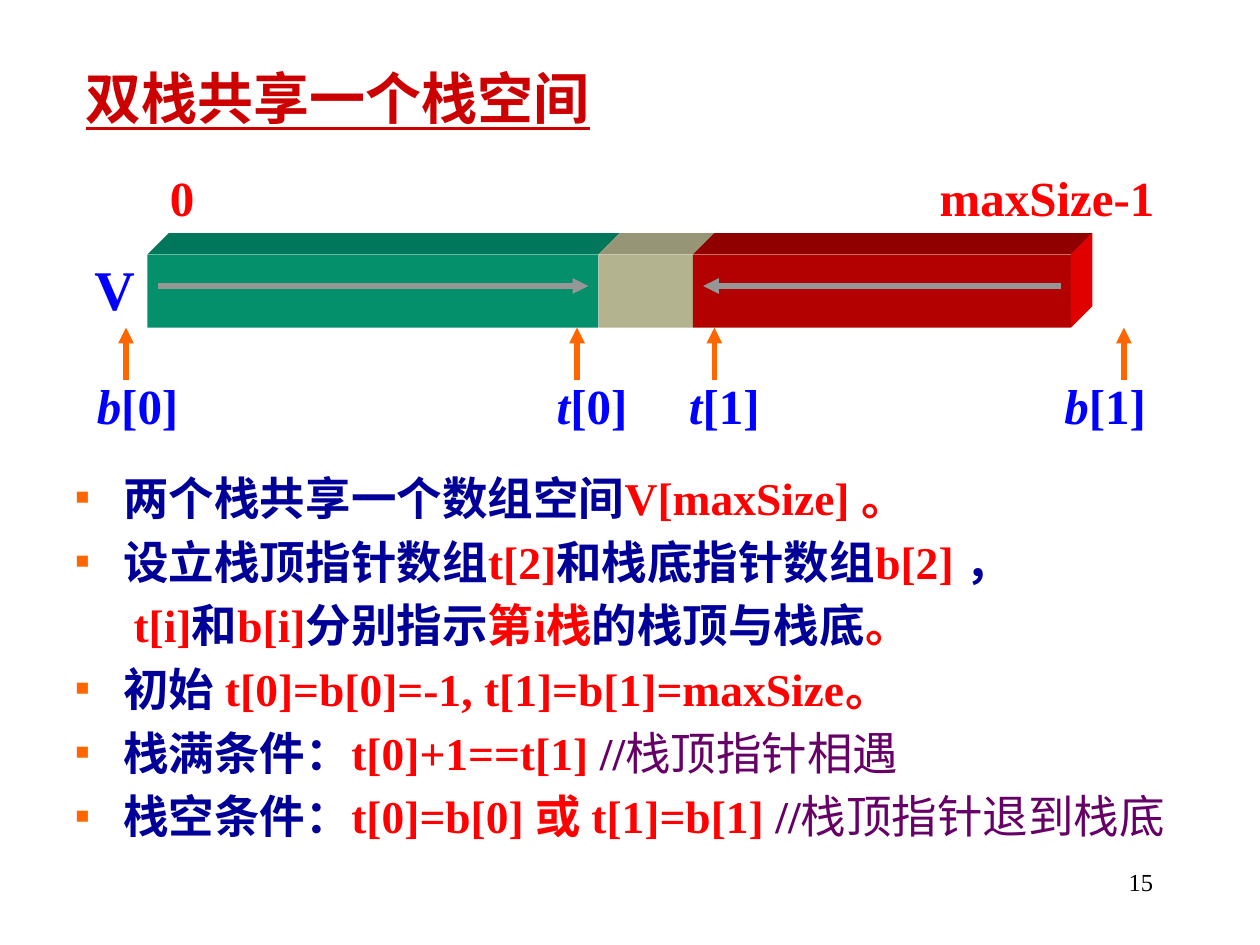
from lxml import etree
from pptx import Presentation
from pptx.dml.color import RGBColor
from pptx.enum import shapes, text
from pptx.oxml.ns import qn
from pptx.util import Inches, Pt

FONT = "Times New Roman"
CRIMSON = RGBColor(0xCC, 0x00, 0x00)
RED = RGBColor(0xFF, 0x00, 0x00)
BLUE = RGBColor(0x00, 0x00, 0xFF)
NAVY = RGBColor(0x00, 0x00, 0x99)
PURPLE = RGBColor(0x66, 0x00, 0x66)
ORANGE = RGBColor(0xFF, 0x66, 0x00)
GRAY = RGBColor(0x96, 0x96, 0x96)
BLACK = RGBColor(0x00, 0x00, 0x00)
GREEN_FRONT, GREEN_TOP = RGBColor(0x04, 0x90, 0x6B), RGBColor(0x00, 0x77, 0x5A)
SAND_FRONT, SAND_TOP = RGBColor(0xB3, 0xB3, 0x8F), RGBColor(0x96, 0x96, 0x77)
RED_FRONT, RED_TOP = RGBColor(0xB3, 0x00, 0x00), RGBColor(0x90, 0x00, 0x00)
RED_SIDE = RGBColor(0xE0, 0x00, 0x00)

BULLETS = [
    (True, [("两个栈共享一个数组空间", NAVY), ("V[maxSize] 。", RED)]),
    (True, [("设立栈顶指针数组", NAVY), ("t[2]", RED), ("和栈底指针数组", NAVY),
            ("b[2] ", RED), ("，", NAVY)]),
    (False, [("t[i]", RED), ("和", NAVY), ("b[i]", RED), ("分别指示", NAVY),
             ("第i栈", RED), ("的栈顶与栈底", NAVY), ("。", RED)]),
    (True, [("初始 ", NAVY), ("t[0]=b[0]=-1, t[1]=b[1]=maxSize。", RED)]),
    (True, [("栈满条件：", NAVY), ("t[0]+1==t[1] ", RED), ("//", PURPLE),
            ("栈顶指针相遇", PURPLE, False)]),
    (True, [("栈空条件：", NAVY), ("t[0]=b[0] 或 t[1]=b[1] ", RED), ("//", PURPLE),
            ("栈顶指针退到栈底", PURPLE, False)]),
]


def add_xml(parent, tag, **attrs):
    """Append an element with the given attributes."""
    return etree.SubElement(parent, qn(tag), {k: str(v) for k, v in attrs.items()})


def style(p, size, color=None, bold=True):
    """Set the font shared by all runs of a paragraph."""
    f = p.font
    f.name, f.size, f.bold = FONT, Pt(size), bold
    if color is not None:
        f.color.rgb = color


def place(sp, x, y, w, h):
    """Move a placeholder to a box given in inches."""
    sp.left, sp.top, sp.width, sp.height = map(Inches, (x, y, w, h))
    tf = sp.text_frame
    tf.word_wrap, tf.auto_size = True, text.MSO_AUTO_SIZE.NONE
    tf.vertical_anchor = text.MSO_ANCHOR.TOP
    return tf


def add_label(s, x, y, w, h, runs, size, color, tabs=(), bold=True):
    """Add one line of (text, italic) runs with optional tab stops."""
    tf = s.shapes.add_textbox(*map(Inches, (x, y, w, h))).text_frame
    tf.word_wrap = True
    p = tf.paragraphs[0]
    for words, italic in runs:
        r = p.add_run()
        r.text = words
        if italic:
            r.font.italic = True
    if tabs:
        tab_list = add_xml(p._p.get_or_add_pPr(), "a:tabLst")
        for pos in tabs:
            add_xml(tab_list, "a:tab", pos=Inches(pos), algn="l")
    style(p, size, color, bold)
    return p


def add_arrow(s, x1, y1, x2, y2, color):
    """Add a thick arrow pointing at the second point."""
    line = s.shapes.add_connector(shapes.MSO_CONNECTOR.STRAIGHT,
                                  *map(Inches, (x1, y1, x2, y2)))
    line.line.color.rgb, line.line.width = color, Pt(3)
    add_xml(line.line._get_or_add_ln(), "a:tailEnd", type="triangle")
    add_xml(line._element.spPr, "a:effectLst")


def paint(sp, color):
    """Give a shape a plain fill without outline or shadow."""
    sp.shadow.inherit = False
    sp.fill.solid()
    sp.fill.fore_color.rgb = color
    sp.line.fill.background()


def add_face(s, points, color):
    """Add a closed polygon through points given in inches."""
    pts = [(Inches(x), Inches(y)) for x, y in points]
    fb = s.shapes.build_freeform(*pts[0])
    fb.add_line_segments(pts[1:], close=True)
    paint(fb.convert_to_shape(), color)


def add_bar(s, x, y, h, depth):
    """Draw the shared array as three joined blocks with depth."""
    blocks = [(3.58, GREEN_FRONT, GREEN_TOP), (0.75, SAND_FRONT, SAND_TOP),
              (3, RED_FRONT, RED_TOP)]
    for w, front, top in blocks:
        sp = s.shapes.add_shape(shapes.MSO_SHAPE.RECTANGLE,
                                *map(Inches, (x, y, w, h)))
        paint(sp, front)
        add_face(s, [(x, y), (x + depth, y - depth),
                     (x + w + depth, y - depth), (x + w, y)], top)
        x += w
    add_face(s, [(x, y), (x + depth, y - depth),
                 (x + depth, y + h - depth), (x, y + h)], RED_SIDE)


def add_diagram(s, x, y):
    """Draw the array, its index labels and the stack pointers."""
    add_bar(s, x + 0.52, y + 0.74, 0.58, 0.17)
    add_arrow(s, x + 0.6, y + 0.99, x + 4.02, y + 0.99, GRAY)
    add_arrow(s, x + 7.77, y + 0.99, x + 4.93, y + 0.99, GRAY)
    for dx in (0.35, 3.93, 5.02, 8.27):
        add_arrow(s, x + dx, y + 1.74, x + dx, y + 1.32, ORANGE)
    add_label(s, x + 0.6, y, 8.03, 0.57, [("0\tmaxSize-1", False)], 28, RED, [6.11])
    add_label(s, x, y + 0.69, 0.6, 0.63, [("V", False)], 32, BLUE)
    pointers = [("b", True), ("[0]\t", False), ("t", True), ("[0]\t", False),
                ("t", True), ("[1]\t", False), ("b", True), ("[1]", False)]
    add_label(s, x + 0.02, y + 1.65, 8.7, 0.57, pointers, 28, BLUE, [3.65, 4.7, 7.68])


def add_title(s, x, y, w, h):
    """Fill the title placeholder."""
    p = place(s.shapes.title, x, y, w, h).paragraphs[0]
    p.text, p.alignment, p.line_spacing = "双栈共享一个栈空间", text.PP_ALIGN.LEFT, 1.05
    style(p, 32, CRIMSON)
    p.font.underline = True


def add_bullets(s, x, y, w, h):
    """Fill the body placeholder with the coloured list."""
    tf = place(s.placeholders[1], x, y, w, h)
    for i, (bulleted, runs) in enumerate(BULLETS):
        p = tf.add_paragraph() if i else tf.paragraphs[0]
        p.space_before = Pt(5.2 if i else 0)
        pPr = p._p.get_or_add_pPr()
        pPr.set("marL", str(Inches(0.38 if bulleted else 0.46)))
        pPr.set("indent", str(Inches(-0.38 if bulleted else 0)))
        if bulleted:
            add_xml(add_xml(pPr, "a:buClr"), "a:srgbClr", val=ORANGE)
            add_xml(pPr, "a:buSzPct", val=50000)
            add_xml(pPr, "a:buFont", typeface=FONT)
            add_xml(pPr, "a:buChar", char="■")
        else:
            add_xml(pPr, "a:buNone")
        style(p, 26)
        for words, color, *bold in runs:
            r = p.add_run()
            r.text = words
            r.font.color.rgb = color
            if bold:
                r.font.bold = bold[0]


def main():
    """Build the slide and save it."""
    prs = Presentation()
    prs.slide_width, prs.slide_height = Inches(10), Inches(7.5)
    s = prs.slides.add_slide(prs.slide_layouts[1])
    add_title(s, 0.58, 0.43, 4.81, 0.66)
    add_diagram(s, 0.65, 1.28)
    add_bullets(s, 0.5, 3.68, 9.5, 3.15)
    p = add_label(s, 7.17, 6.83, 2.08, 0.5, [("15", False)], 14, BLACK, bold=False)
    p.alignment = text.PP_ALIGN.RIGHT
    prs.save("out.pptx")


if __name__ == "__main__":
    main()
